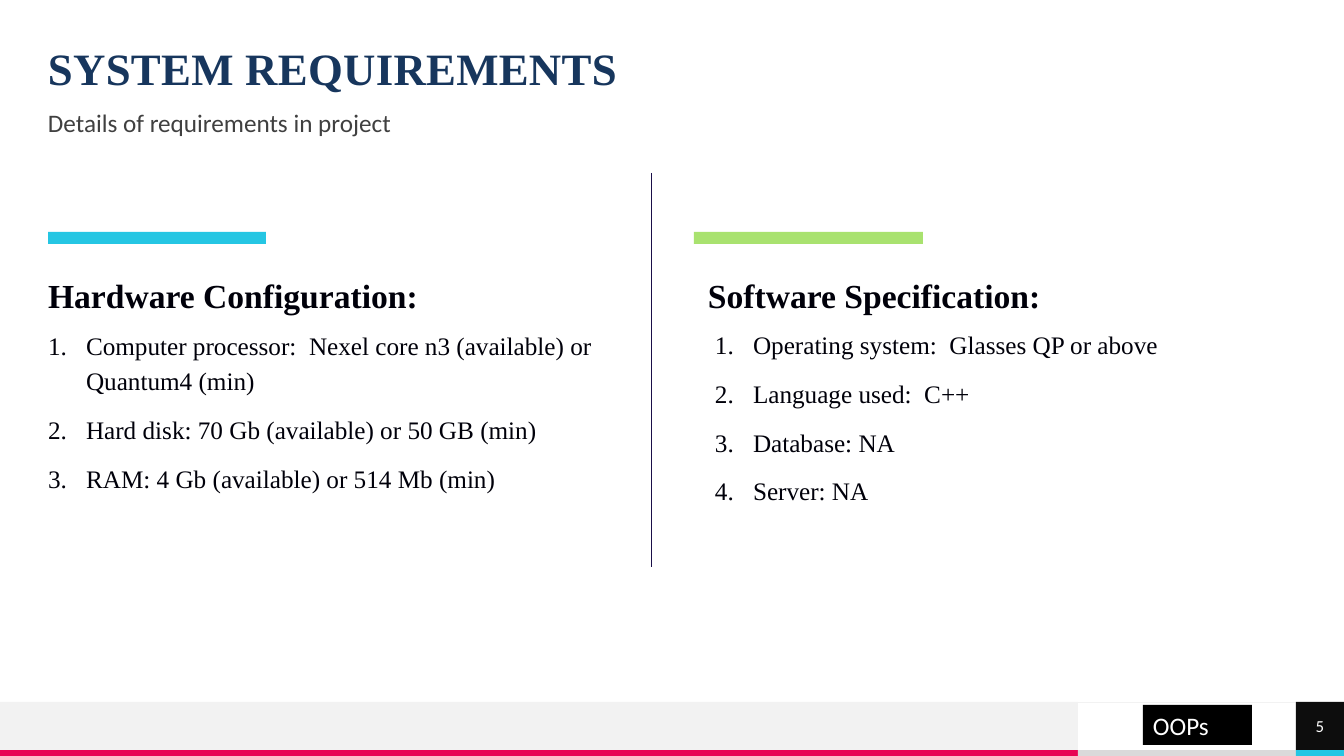
from dataclasses import dataclass

from lxml import etree
from pptx import Presentation
from pptx.dml.color import RGBColor
from pptx.enum.shapes import MSO_CONNECTOR, MSO_SHAPE
from pptx.enum.text import MSO_ANCHOR, PP_ALIGN
from pptx.oxml.ns import qn
from pptx.shapes.autoshape import Shape
from pptx.slide import Slide
from pptx.text.text import TextFrame
from pptx.util import Emu, Pt

RECT = MSO_SHAPE.RECTANGLE
STRAIGHT = MSO_CONNECTOR.STRAIGHT
TOP, MIDDLE = MSO_ANCHOR.TOP, MSO_ANCHOR.MIDDLE
LEFT, CENTER = PP_ALIGN.LEFT, PP_ALIGN.CENTER

EMU_PER_PX = 914400 / 100.8
SLIDE_W, SLIDE_H = 1344, 756
MARGIN = 48
FULL_W = 1250
COLUMN_W = 603
FOOTER_TOP, FOOTER_H, STRIP_H = 702, 48, 6
FOOTER_SPLIT = 1078
NUMBER_X = SLIDE_W - FOOTER_H
NUMBER_INDENT = 38


@dataclass(frozen=True)
class Theme:
    serif: str = "Times New Roman"
    sans: str = "Calibri"
    navy: str = "17365D"
    ink: str = "00000A"
    gray: str = "404040"
    divider: str = "1A0F49"
    cyan: str = "25C6E3"
    green: str = "A9E26F"
    pink: str = "E80554"
    pale: str = "F2F2F2"
    silver: str = "DADADA"
    near_black: str = "0D0D0D"
    black: str = "000000"
    white: str = "FFFFFF"
    title_pt: int = 32
    heading_pt: int = 24
    body_pt: int = 18
    number_pt: int = 12


THEME = Theme()


@dataclass(frozen=True)
class Box:
    x: int
    y: int
    w: int
    h: int


@dataclass(frozen=True)
class Block:
    box: Box
    color: str


@dataclass(frozen=True)
class Column:
    accent: Block
    heading_box: Box
    heading: str
    list_box: Box
    items: tuple[str, ...]


BLOCKS = (
    Block(Box(0, FOOTER_TOP, FOOTER_SPLIT, FOOTER_H), THEME.pale),
    Block(Box(0, FOOTER_TOP + FOOTER_H, FOOTER_SPLIT, STRIP_H), THEME.pink),
    Block(Box(FOOTER_SPLIT, FOOTER_TOP + FOOTER_H, NUMBER_X - FOOTER_SPLIT, STRIP_H), THEME.silver),
    Block(Box(NUMBER_X, FOOTER_TOP + FOOTER_H, FOOTER_H, STRIP_H), THEME.cyan),
)

COLUMNS = (
    Column(
        Block(Box(MARGIN, 232, 218, 12), THEME.cyan),
        Box(MARGIN, 269, COLUMN_W, 39),
        "Hardware Configuration:",
        Box(MARGIN, 326, COLUMN_W, 242),
        (
            "Computer processor:  Nexel core n3 (available) or Quantum4 (min)",
            "Hard disk: 70 Gb (available) or 50 GB (min)",
            "RAM: 4 Gb (available) or 514 Mb (min)",
        ),
    ),
    Column(
        Block(Box(694, 232, 229, 12), THEME.green),
        Box(708, 269, COLUMN_W, 39),
        "Software Specification:",
        Box(715, 325, COLUMN_W, 242),
        (
            "Operating system:  Glasses QP or above",
            "Language used:  C++",
            "Database: NA",
            "Server: NA",
        ),
    ),
)


def px(n: int) -> Emu:
    return Emu(round(n * EMU_PER_PX))


def rgb(color: str) -> RGBColor:
    return RGBColor.from_string(color)


def place(box: Box) -> tuple[Emu, Emu, Emu, Emu]:
    return px(box.x), px(box.y), px(box.w), px(box.h)


def write(tf: TextFrame, *lines: str, size: int, color: str, font: str = THEME.sans,
          bold: bool = False, align: PP_ALIGN = LEFT, anchor: MSO_ANCHOR = TOP,
          leading: float = 1.0, before: int = 0, after: int = 0, tracking: int = 0,
          numbered: bool = False, inset: tuple[int, int] = (0, 0)) -> None:
    """Fill a frame with one paragraph per line; tracking is in 1/100 pt."""
    tf.word_wrap = True
    tf.vertical_anchor = anchor
    tf.margin_left = tf.margin_right = px(inset[0])
    tf.margin_top = tf.margin_bottom = px(inset[1])
    for i, line in enumerate(lines):
        p = tf.add_paragraph() if i else tf.paragraphs[0]
        p.alignment = align
        p.line_spacing = leading
        p.space_before, p.space_after = Pt(before), Pt(after)
        if numbered:
            props = p._p.get_or_add_pPr()
            props.set("marL", str(px(NUMBER_INDENT)))
            props.set("indent", str(-px(NUMBER_INDENT)))
            etree.SubElement(props, qn("a:buFont"), typeface="+mj-lt")
            etree.SubElement(props, qn("a:buAutoNum"), type="arabicPeriod")
        r = p.add_run()
        r.text = line
        r.font.name, r.font.size, r.font.bold = font, Pt(size), bold
        r.font.color.rgb = rgb(color)
        if tracking:
            r._r.get_or_add_rPr().set("spc", str(tracking))


def add_text(slide: Slide, box: Box, *lines: str, **fmt) -> None:
    write(slide.shapes.add_textbox(*place(box)).text_frame, *lines, **fmt)


def add_block(slide: Slide, block: Block) -> Shape:
    sp = slide.shapes.add_shape(RECT, *place(block.box))
    sp.shadow.inherit = False
    sp.fill.solid()
    sp.fill.fore_color.rgb = rgb(block.color)
    sp.line.fill.background()
    return sp


def add_line(slide: Slide, x1: int, y1: int, x2: int, y2: int, color: str) -> None:
    line = slide.shapes.add_connector(STRAIGHT, px(x1), px(y1), px(x2), px(y2))
    line.line.color.rgb = rgb(color)
    line.line.width = Pt(0.5)
    etree.SubElement(line._element.spPr, qn("a:effectLst"))


def add_column(slide: Slide, column: Column) -> None:
    add_block(slide, column.accent)
    add_text(slide, column.heading_box, column.heading, size=THEME.heading_pt, color=THEME.ink,
             font=THEME.serif, bold=True, leading=1.15, before=10, after=10)
    add_text(slide, column.list_box, *column.items, size=THEME.body_pt, color=THEME.ink,
             font=THEME.serif, leading=1.15, before=10, numbered=True)


def main() -> None:
    prs = Presentation()
    prs.slide_width, prs.slide_height = px(SLIDE_W), px(SLIDE_H)
    slide = prs.slides.add_slide(prs.slide_layouts[6])

    for block in BLOCKS:
        add_block(slide, block)
    add_line(slide, SLIDE_W, FOOTER_TOP, 0, FOOTER_TOP, THEME.pale)

    add_text(slide, Box(MARGIN, 47, FULL_W, 48), "SYSTEM REQUIREMENTS", size=THEME.title_pt,
             color=THEME.navy, font=THEME.serif, bold=True, anchor=MIDDLE, leading=0.9,
             after=15, tracking=20)
    add_text(slide, Box(MARGIN, 111, FULL_W, 39), "Details of requirements in project",
             size=THEME.body_pt, color=THEME.gray, leading=0.9, before=10)

    for column in COLUMNS:
        add_column(slide, column)
    add_line(slide, 651, 173, 651, 567, THEME.divider)

    number = add_block(slide, Block(Box(NUMBER_X, FOOTER_TOP, FOOTER_H, FOOTER_H), THEME.near_black))
    write(number.text_frame, "5", size=THEME.number_pt, color=THEME.white,
          align=CENTER, anchor=MIDDLE)
    label = add_block(slide, Block(Box(1143, 705, 109, 40), THEME.black))
    write(label.text_frame, "OOPs", size=THEME.body_pt, color=THEME.white, inset=(10, 5))

    prs.save("out.pptx")


if __name__ == "__main__":
    main()
